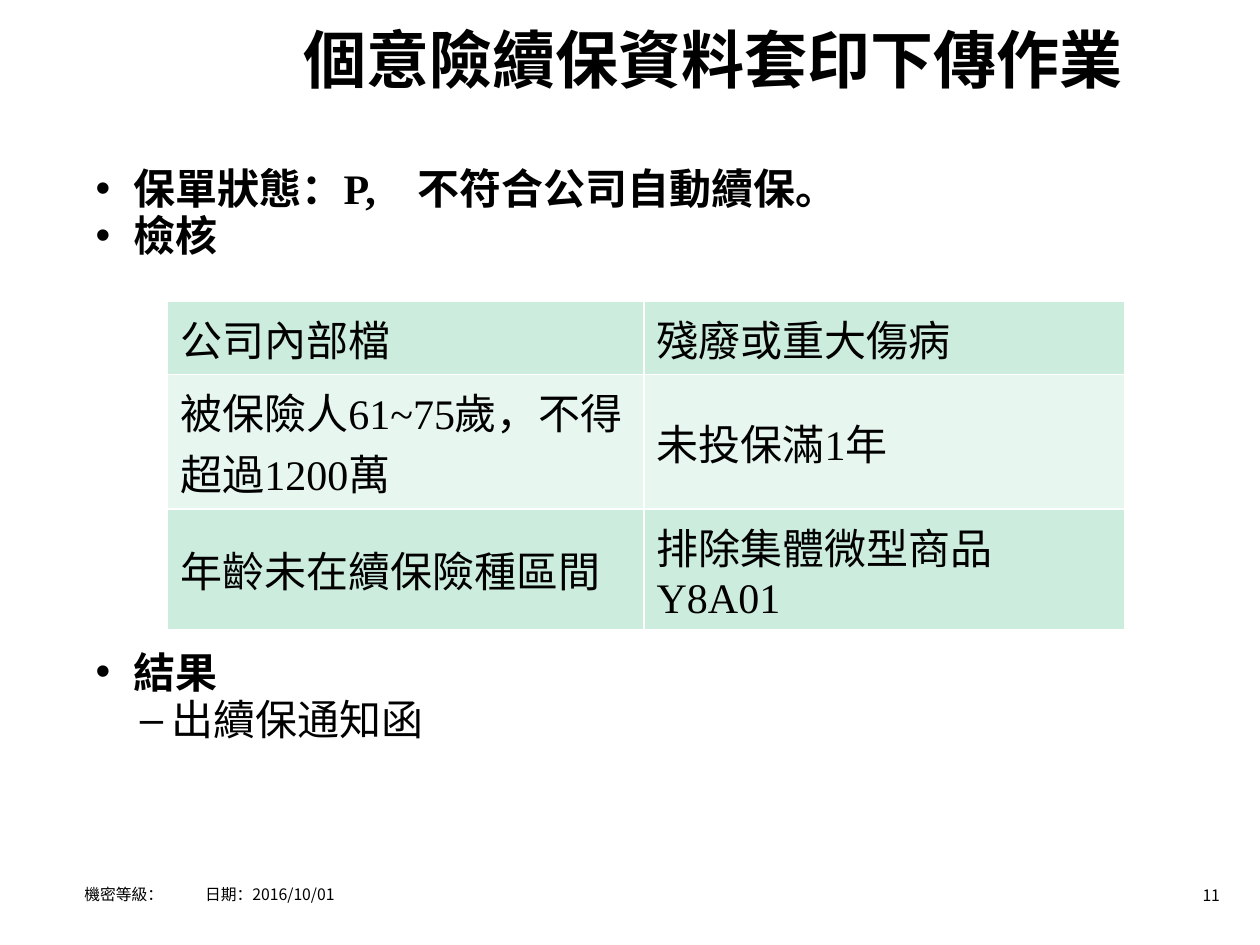
"""Build the policy renewal print and download slide."""
from lxml.etree import SubElement
from pptx import Presentation
from pptx.dml.color import RGBColor
from pptx.enum.text import MSO_ANCHOR, MSO_AUTO_SIZE, PP_ALIGN
from pptx.oxml.ns import qn
from pptx.util import Pt

BLACK = RGBColor(0, 0, 0)
MINT = RGBColor(0xCC, 0xEC, 0xDE)
PALE = RGBColor(0xE7, 0xF6, 0xEF)
WHITE = RGBColor(255, 255, 255)
SERIF = "Times New Roman"
SANS = "Noto Sans CJK SC"

TITLE = "個意險續保資料套印下傳作業"
ITEMS = [
    ("保單狀態：P,　不符合公司自動續保。", 0, 3),
    ("檢核", 0, 3),
    ("結果", 0, 225.5),
    ("出續保通知函", 1, 3),
]
INDENTS = [(21.6, -21.6), (43.2, -18)]
CHECKS = [
    ("公司內部檔", "殘廢或重大傷病"),
    ("被保險人61~75歲，不得超過1200萬", "未投保滿1年"),
    ("年齡未在續保險種區間", "排除集體微型商品Y8A01"),
]
COLS = [272.2, 275]
ROWS = [41.7, 76.6, 68.6]
FOOTER = "機密等級：\t日期：2016/10/01"
PAGE = "11"


def write(para, text, size, font=SERIF, bold=False):
    run = para.add_run()
    run.text = text
    run.font.size = Pt(size)
    run.font.name = font
    run.font.bold = bold
    run.font.color.rgb = BLACK
    if font == SANS:
        SubElement(run.font._element, qn("a:ea"), typeface=font)


def place(shape, left, top, width, height):
    shape.left, shape.top = Pt(left), Pt(top)
    shape.width, shape.height = Pt(width), Pt(height)
    frame = shape.text_frame
    frame.word_wrap = True
    frame.auto_size = MSO_AUTO_SIZE.NONE
    return frame


def edge(cell):
    props = cell._tc.get_or_add_tcPr()
    for at, side in enumerate(("lnL", "lnR", "lnT", "lnB")):
        line = props.makeelement(qn(f"a:{side}"), {"w": str(Pt(1))})
        fill = SubElement(line, qn("a:solidFill"))
        SubElement(fill, qn("a:srgbClr"), val=str(WHITE))
        props.insert(at, line)


def add_list(slide):
    frame = place(slide.placeholders[1], 47.5, 94.3, 629.3, 402.5)
    frame.vertical_anchor = MSO_ANCHOR.TOP
    for i, (text, level, gap) in enumerate(ITEMS):
        para = frame.add_paragraph() if i else frame.paragraphs[0]
        para.level = level
        para.space_before = Pt(gap)
        para.line_spacing = 0.83
        left, hang = INDENTS[level]
        props = para._p.get_or_add_pPr()
        props.set("marL", str(Pt(left)))
        props.set("indent", str(Pt(hang)))
        write(para, text, 24, bold=level == 0)


def add_checks(slide):
    table = slide.shapes.add_table(
        len(ROWS), len(COLS), Pt(95.8), Pt(172.1), Pt(sum(COLS)), Pt(sum(ROWS))
    ).table
    table.first_row = table.horz_banding = False
    for col, width in zip(table.columns, COLS):
        col.width = Pt(width)
    for i, (row, height) in enumerate(zip(table.rows, ROWS)):
        row.height = Pt(height)
        for cell, text in zip(row.cells, CHECKS[i]):
            cell.fill.solid()
            cell.fill.fore_color.rgb = PALE if i % 2 else MINT
            cell.vertical_anchor = MSO_ANCHOR.MIDDLE
            write(cell.text_frame.paragraphs[0], text, 24)
            edge(cell)


def add_footer(slide):
    frame = place(slide.shapes.add_textbox(0, 0, 0, 0), 48.2, 496.8, 534.2, 22.3)
    frame.margin_left = 0
    para = frame.paragraphs[0]
    para.line_spacing = 1.5
    tabs = SubElement(para._p.get_or_add_pPr(), qn("a:tabLst"))
    SubElement(tabs, qn("a:tab"), pos=str(Pt(69)), algn="l")
    write(para, FOOTER, 9, SANS)

    frame = place(slide.shapes.add_textbox(0, 0, 0, 0), 655.2, 502.6, 49, 18)
    frame.vertical_anchor = MSO_ANCHOR.MIDDLE
    para = frame.paragraphs[0]
    para.alignment = PP_ALIGN.RIGHT
    write(para, PAGE, 9, SANS)


def main():
    deck = Presentation()
    deck.slide_width, deck.slide_height = Pt(720), Pt(540)
    slide = deck.slides.add_slide(deck.slide_layouts[1])
    frame = place(slide.shapes.title, 166.3, 12.2, 491.8, 42.5)
    frame.vertical_anchor = MSO_ANCHOR.MIDDLE
    para = frame.paragraphs[0]
    para.alignment = PP_ALIGN.LEFT
    write(para, TITLE, 36, bold=True)
    add_list(slide)
    add_footer(slide)
    add_checks(slide)
    deck.save("out.pptx")


if __name__ == "__main__":
    main()
